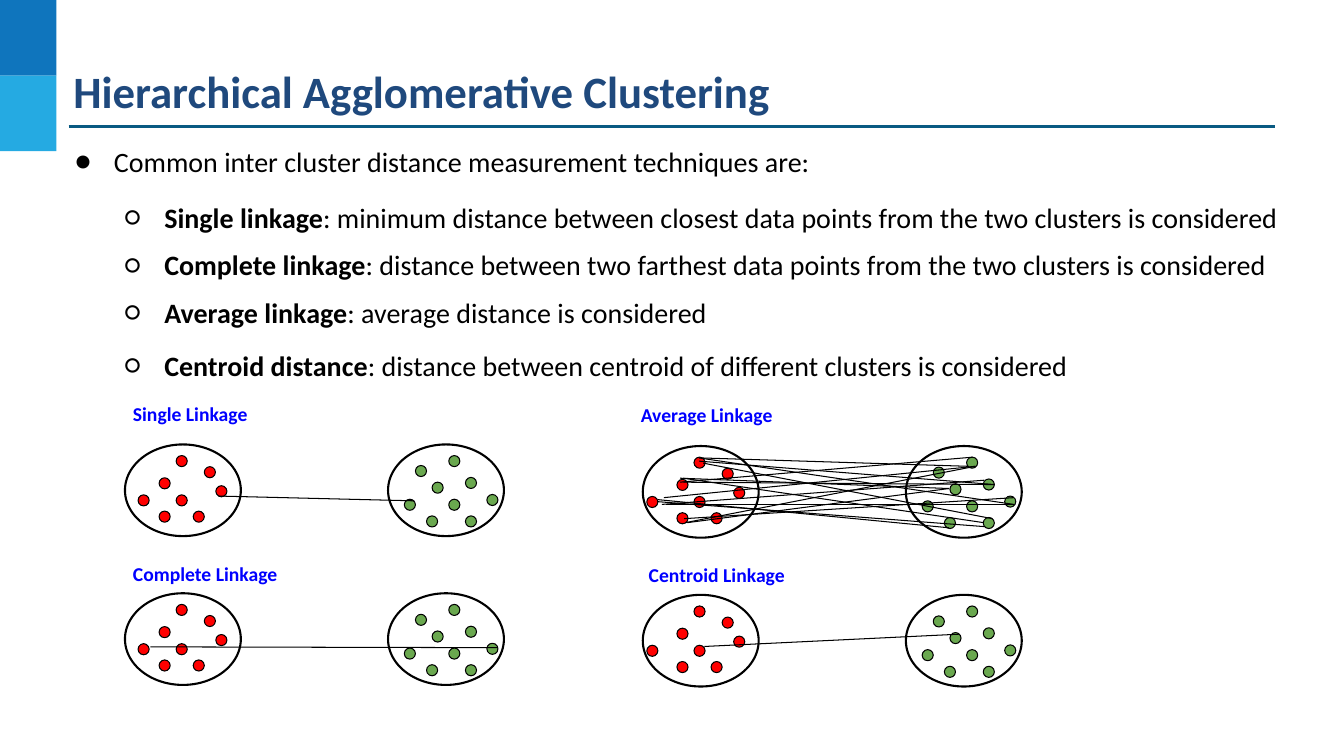
from dataclasses import dataclass

from lxml import etree
from pptx import Presentation
from pptx.dml.color import RGBColor
from pptx.enum.shapes import MSO_CONNECTOR as Connector, MSO_SHAPE as Preset
from pptx.enum.text import MSO_ANCHOR as Anchor, MSO_AUTO_SIZE as AutoSize, PP_ALIGN as Align
from pptx.oxml.ns import qn
from pptx.util import Cm, Pt


@dataclass(frozen=True)
class Theme:
    font: str = "Calibri"
    title: str = "1F497D"
    label: str = "0000FF"
    ink: str = "000000"
    paper: str = "FFFFFF"
    dark_band: str = "0F75BD"
    light_band: str = "25AAE2"
    rule: str = "095A82"
    red: str = "FF0000"
    green: str = "6AA84F"
    title_size: int = 32
    body_size: int = 20
    label_size: int = 14


theme = Theme()
deck = Presentation()
deck.slide_width, deck.slide_height = Cm(33.87), Cm(19.05)
page = deck.slides.add_slide(deck.slide_layouts[1])


def add_span(para, text, size, color, bold):
    span = para.add_run()
    span.text = text
    span.font.name = theme.font
    span.font.size = Pt(size)
    span.font.bold = bold
    span.font.color.rgb = RGBColor.from_string(color)


def add_line(x1, y1, x2, y2, color, width):
    line = page.shapes.add_connector(Connector.STRAIGHT, Cm(x1), Cm(y1), Cm(x2), Cm(y2))
    line.line.color.rgb = RGBColor.from_string(color)
    line.line.width = Pt(width)
    etree.SubElement(line._element.spPr, qn("a:effectLst"))


# Side bands and title rule
band_height = 1.905
for row, color in enumerate((theme.dark_band, theme.light_band)):
    band = page.shapes.add_shape(Preset.RECTANGLE, Cm(0), Cm(row * band_height), Cm(1.42), Cm(band_height))
    band.shadow.inherit = False
    band.fill.solid()
    band.fill.fore_color.rgb = RGBColor.from_string(color)
    band.line.fill.background()
add_line(1.73, 3.18, 32.13, 3.18, theme.rule, 2.25)

# Title
title = page.shapes.title
title.left, title.top, title.width, title.height = Cm(1.8), Cm(1.55), Cm(31.22), Cm(2.11)
frame = title.text_frame
frame.margin_left = frame.margin_right = frame.margin_top = frame.margin_bottom = Cm(0.05)
frame.vertical_anchor = Anchor.TOP
frame.auto_size = AutoSize.NONE
para = frame.paragraphs[0]
para.alignment = Align.LEFT
add_span(para, "Hierarchical Agglomerative Clustering", theme.title_size, theme.title, True)

# Bulleted list: level, bold lead, text, line spacing, space before
points = [
    (0, "", "Common inter cluster distance measurement techniques are:", 1.15, 0),
    (1, "Single linkage",
     ": minimum distance between closest data points from the two clusters is considered", 1.0, 16),
    (1, "Complete linkage",
     ": distance between two farthest data points from the two clusters is considered", 1.0, 10),
    (1, "Average linkage", ": average distance is considered", 1.0, 10),
    (1, "Centroid distance",
     ": distance between centroid of different clusters is considered", 1.15, 10),
]
body = page.placeholders[1]
body.left, body.top, body.width, body.height = Cm(1.35), Cm(3.38), Cm(31.22), Cm(6.3)
frame = body.text_frame
frame.margin_left = frame.margin_right = Cm(0.25)
frame.margin_top = frame.margin_bottom = Cm(0.13)
frame.vertical_anchor = Anchor.TOP
frame.auto_size = AutoSize.NONE
for index, (level, lead, text, spacing, before) in enumerate(points):
    para = frame.add_paragraph() if index else frame.paragraphs[0]
    props = para._p.get_or_add_pPr()
    props.set("marL", str(Cm(1.27 * (level + 1))))
    props.set("indent", str(-Cm(0.99)))
    bullet_color = etree.SubElement(props, qn("a:buClr"))
    etree.SubElement(bullet_color, qn("a:srgbClr"), val=theme.ink)
    etree.SubElement(props, qn("a:buFont"), typeface=theme.font)
    etree.SubElement(props, qn("a:buChar"), char="●○"[level])
    para.level = level
    para.alignment = Align.LEFT
    para.line_spacing = spacing
    para.space_before, para.space_after = Pt(before), Pt(0)
    if lead:
        add_span(para, lead, theme.body_size, theme.ink, True)
    add_span(para, text, theme.body_size, theme.ink, False)

# Cluster diagrams: all positions below are relative to the panel corner
cluster_width, cluster_height, dot_size, green_shift = 2.92, 2.31, 0.28, 6.63
red_dots = [(0.86, 0.84), (1.29, 1.27), (1.72, 1.68), (2.0, 0.56),
            (2.29, 1.04), (0.86, 1.68), (1.29, 0.28)]
green_dots = [(0.69, 0.53), (1.11, 0.95), (1.53, 1.38), (1.95, 1.8), (1.53, 0.28),
              (1.95, 0.83), (0.41, 1.38), (0.97, 1.8), (2.49, 1.26)]
average_links = [
    (0.53, 1.3, 8.38, 0.51), (0.48, 1.47, 8.61, 0.86), (0.58, 1.47, 9.35, 1.47),
    (0.36, 1.4, 8.61, 2.03), (0.38, 1.35, 7.72, 2.06), (1.42, 0.3, 9.35, 1.47),
    (1.52, 0.43, 8.81, 1.83), (1.5, 0.3, 8.2, 0.51), (1.42, 0.38, 8.86, 0.97),
    (1.02, 0.91, 8.86, 0.97), (1.02, 0.81, 8.59, 1.93), (0.94, 0.81, 7.72, 1.07),
    (1.07, 1.93, 8.38, 0.51), (1.04, 1.83, 9.35, 1.3), (1.12, 1.93, 7.72, 1.07),
    (0.94, 0.91, 8.31, 0.28),
]
# Name, panel corner, label corner, x of the leftmost red dot, links
panels = [
    ("Single Linkage", (3.15, 11.2), (3.1, 9.88), 0.33, [(2.36, 1.3, 7.29, 1.42)]),
    ("Complete Linkage", (3.15, 14.95), (3.1, 13.92), 0.33, [(0.64, 1.35, 9.4, 1.37)]),
    ("Average Linkage", (16.2, 11.24), (15.9, 9.91), 0.1, average_links),
    ("Centroid Linkage", (16.2, 14.99), (16.1, 13.94), 0.1, [(1.55, 1.3, 7.98, 0.99)]),
]
for name, (left, top), (label_left, label_top), far_x, links in panels:
    # Outlines first, then the points inside them
    ovals = [(shift, 0, cluster_width, cluster_height, theme.paper, 1.5) for shift in (0, green_shift)]
    ovals += [(x, y, dot_size, dot_size, theme.red, 0.75) for x, y in red_dots + [(far_x, 1.27)]]
    ovals += [(green_shift + x, y, dot_size, dot_size, theme.green, 0.75) for x, y in green_dots]
    for x, y, width, height, color, outline in ovals:
        oval = page.shapes.add_shape(Preset.OVAL, Cm(left + x), Cm(top + y), Cm(width), Cm(height))
        oval.shadow.inherit = False
        oval.fill.solid()
        oval.fill.fore_color.rgb = RGBColor.from_string(color)
        oval.line.color.rgb = RGBColor.from_string(theme.ink)
        oval.line.width = Pt(outline)

    # Distances between the clusters
    for x1, y1, x2, y2 in links:
        add_line(left + x1, top + y1, left + x2, top + y2, theme.ink, 0.75)

    # Panel label
    box = page.shapes.add_textbox(Cm(label_left), Cm(label_top), Cm(6.4), Cm(1.12))
    frame = box.text_frame
    frame.word_wrap = True
    frame.margin_left = frame.margin_right = frame.margin_top = frame.margin_bottom = Cm(0.25)
    add_span(frame.paragraphs[0], name, theme.label_size, theme.label, True)

deck.save("out.pptx")
